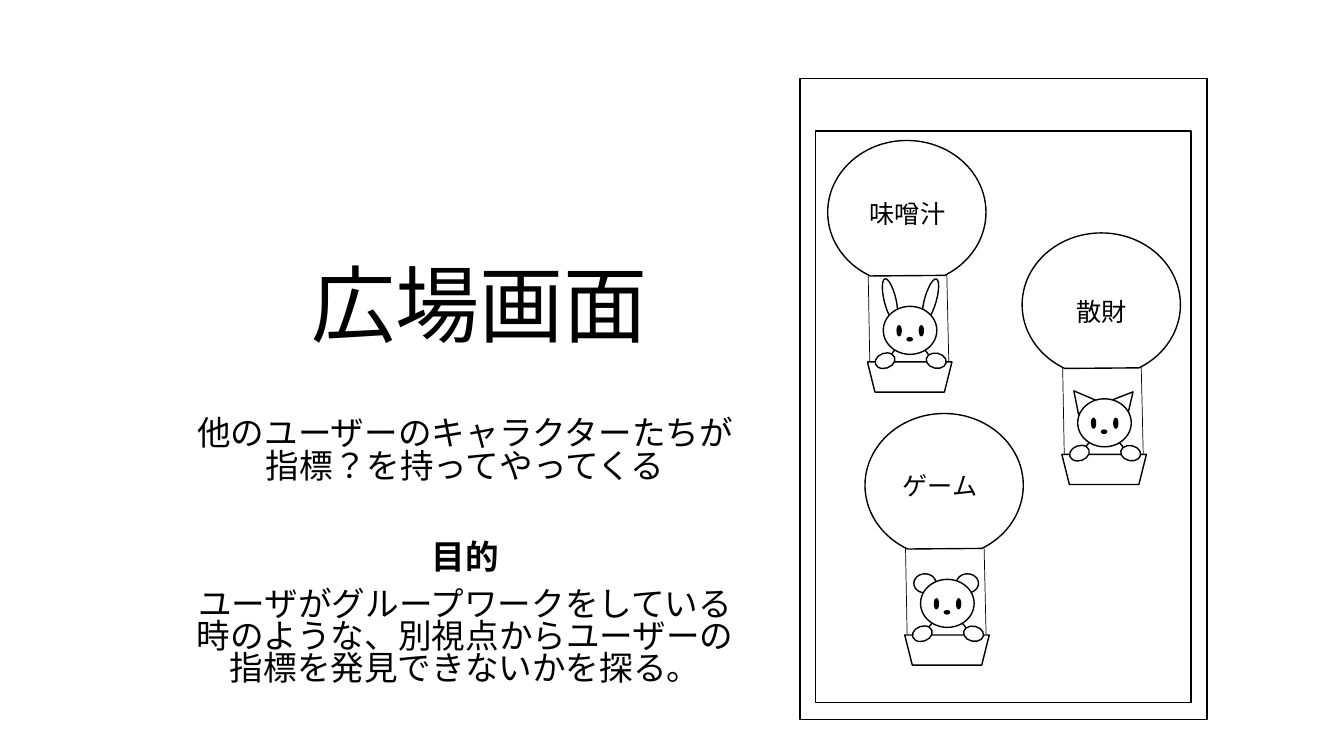
import dataclasses

import lxml.etree
import pptx
import pptx.dml.color
import pptx.enum.lang
import pptx.enum.shapes
import pptx.enum.text
import pptx.oxml.ns
import pptx.util

Cm = pptx.util.Cm
Pt = pptx.util.Pt
Shape = pptx.enum.shapes.MSO_SHAPE
Anchor = pptx.enum.text.MSO_ANCHOR
Align = pptx.enum.text.PP_ALIGN
AutoSize = pptx.enum.text.MSO_AUTO_SIZE


@dataclasses.dataclass(frozen=True)
class Theme:
    font: str = "Noto Sans CJK JP"
    ink: pptx.dml.color.RGBColor = pptx.dml.color.RGBColor(0, 0, 0)
    paper: pptx.dml.color.RGBColor = pptx.dml.color.RGBColor(255, 255, 255)
    title_size: int = 60
    body_size: int = 24
    label_size: int = 18
    outline: float = 1
    rope: float = 0.5


@dataclasses.dataclass
class Paragraph:
    text: str
    space_before: float = 0
    line_spacing: float = 1
    bold: bool = False


# Ears as (kind, left, top, width, height, rotation), in cm from the balloon's corner
RABBIT_EARS = [
    (Shape.OVAL, 2.44, 3.47, 0.3, 1.09, 15.6),
    (Shape.OVAL, 1.42, 3.47, 0.3, 1.09, -13.4),
]
CAT_EARS = [
    (Shape.ISOSCELES_TRIANGLE, 2.34, 3.94, 0.56, 0.53, 41),
    (Shape.ISOSCELES_TRIANGLE, 1.19, 3.92, 0.56, 0.53, -39.1),
]
BEAR_EARS = [
    (Shape.FLOWCHART_CONNECTOR, 2.3, 4.04, 0.56, 0.48, 0),
    (Shape.FLOWCHART_CONNECTOR, 1.23, 4.04, 0.56, 0.48, 0),
]

# Parts every rider shares, from back to front
BODY = [
    (Shape.OVAL, 1.36, 5.92, 0.64, 0.38, -16.6),  # feet
    (Shape.OVAL, 2.1, 5.92, 0.65, 0.38, 18.2),
    (Shape.OVAL, 1.55, 5.13, 1.04, 0.94, 0),  # trunk
    (Shape.FLOWCHART_CONNECTOR, 1.4, 4.18, 1.35, 1.21, 0),  # head
]
FACE = [
    (Shape.FLOWCHART_CONNECTOR, 1.75, 4.67, 0.1, 0.25, 0),  # eyes
    (Shape.FLOWCHART_CONNECTOR, 2.31, 4.67, 0.1, 0.25, 0),
    (Shape.FLOWCHART_CONNECTOR, 2.0, 4.97, 0.13, 0.08, 0),  # nose
]
BASKET = [
    (Shape.TRAPEZOID, 1.0, 5.58, 2.13, 0.76, 180),
    (Shape.OVAL, 2.48, 5.36, 0.51, 0.38, 12.3),  # hands
    (Shape.OVAL, 1.19, 5.36, 0.51, 0.38, -19.2),
]
ROPES = [(1.02, 3.4, 1.06, 5.56), (3.0, 3.37, 3.05, 5.56)]


class SlideBuilder:
    def __init__(self, slide, theme):
        self.slide = slide
        self.theme = theme

    def shape(self, shapes, kind, left, top, width, height, rotation=0, fill=None):
        shape = shapes.add_shape(kind, Cm(left), Cm(top), Cm(width), Cm(height))
        shape.rotation = rotation
        shape.shadow.inherit = False
        shape.fill.solid()
        shape.fill.fore_color.rgb = fill or self.theme.paper
        shape.line.color.rgb = self.theme.ink
        shape.line.width = Pt(self.theme.outline)
        return shape

    def line(self, shapes, x1, y1, x2, y2):
        connector = shapes.add_connector(
            pptx.enum.shapes.MSO_CONNECTOR.STRAIGHT, Cm(x1), Cm(y1), Cm(x2), Cm(y2))
        connector.line.color.rgb = self.theme.ink
        connector.line.width = Pt(self.theme.rope)
        properties = connector._element.spPr
        lxml.etree.SubElement(properties, pptx.oxml.ns.qn("a:effectLst"))

    def text(self, paragraphs, left, top, width, height, size,
             align=Align.CENTER, anchor=Anchor.TOP, wrap=True):
        box = self.slide.shapes.add_textbox(Cm(left), Cm(top), Cm(width), Cm(height))
        frame = box.text_frame
        frame.word_wrap = wrap
        frame.vertical_anchor = anchor
        frame.auto_size = AutoSize.NONE if wrap else AutoSize.SHAPE_TO_FIT_TEXT
        for index, content in enumerate(paragraphs):
            paragraph = frame.add_paragraph() if index else frame.paragraphs[0]
            paragraph.alignment = align
            paragraph.line_spacing = content.line_spacing
            paragraph.space_before = Pt(content.space_before)
            run = paragraph.add_run()
            run.text = content.text
            run.font.size = Pt(size)
            run.font.bold = content.bold
            run.font.color.rgb = self.theme.ink
            run.font.name = self.theme.font
            run.font.language_id = pptx.enum.lang.MSO_LANGUAGE_ID.JAPANESE
            east_asian = lxml.etree.SubElement(
                run.font._element, pptx.oxml.ns.qn("a:ea"))
            east_asian.set("typeface", self.theme.font)

    def balloon(self, left, top, ears):
        shapes = self.slide.shapes.add_group_shape().shapes
        for parts, fill in ((ears + BODY, self.theme.paper),
                            (FACE, self.theme.ink),
                            (BASKET, self.theme.paper)):
            for kind, x, y, width, height, rotation in parts:
                self.shape(shapes, kind, left + x, top + y, width, height, rotation, fill)
        envelope = self.shape(shapes, Shape.CHORD, left, top, 3.99, 3.62)
        envelope.adjustments[0] = 71.91
        envelope.adjustments[1] = 35.47
        for x1, y1, x2, y2 in ROPES:
            self.line(shapes, left + x1, top + y1, left + x2, top + y2)

    def label(self, text, left, top, width):
        self.text([Paragraph(text)], left, top, width, 1.02, self.theme.label_size,
                  align=Align.LEFT, wrap=False)


def main():
    presentation = pptx.Presentation()
    presentation.slide_width = Cm(33.87)
    presentation.slide_height = Cm(19.05)
    slide = presentation.slides.add_slide(presentation.slide_layouts[6])
    theme = Theme()
    builder = SlideBuilder(slide, theme)

    # Title and explanation
    builder.text([Paragraph("広場画面", line_spacing=0.9)],
                 2.64, 6.2, 18.87, 2.87, theme.title_size, anchor=Anchor.BOTTOM)
    builder.text([
        Paragraph("他のユーザーのキャラクターたちが指標？を持ってやってくる", 0, 0.8),
        Paragraph("目的", 42.5, 0.8, bold=True),
        Paragraph("ユーザがグループワークをしている時のような、"
                  "別視点からユーザーの指標を発見できないかを探る。", 10, 0.8),
    ], 4.62, 10.46, 14.2, 7.67, theme.body_size)

    # Phone and its screen
    builder.shape(slide.shapes, Shape.RECTANGLE, 20.16, 1.98, 10.26, 16.15)
    builder.shape(slide.shapes, Shape.RECTANGLE, 20.55, 3.3, 9.47, 14.4)

    # Balloons with their riders
    builder.balloon(20.86, 3.54, RABBIT_EARS)
    builder.balloon(25.76, 5.87, CAT_EARS)
    builder.balloon(21.8, 10.42, BEAR_EARS)

    # Balloon labels
    builder.label("味噌汁", 21.67, 4.88, 2.49)
    builder.label("散財", 26.87, 7.34, 1.88)
    builder.label("ゲーム", 22.5, 11.73, 2.49)

    presentation.save("out.pptx")


if __name__ == "__main__":
    main()
